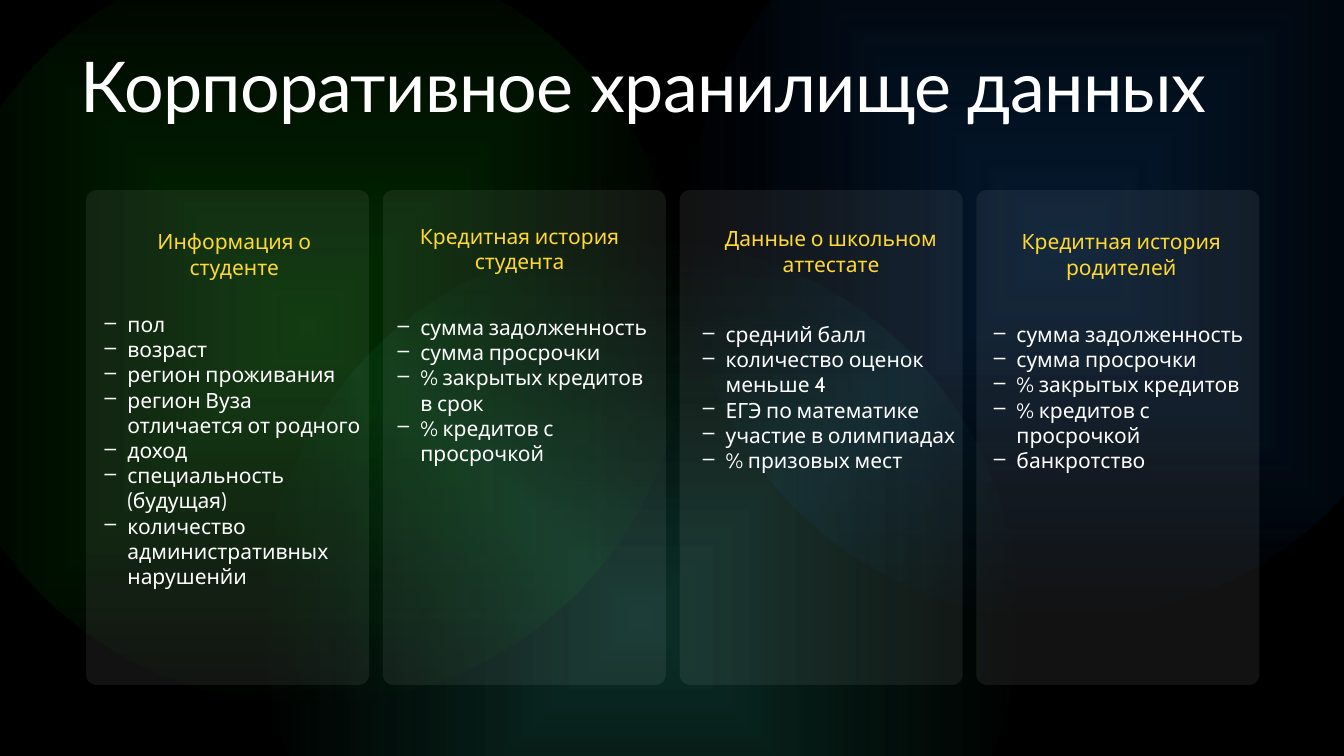
from dataclasses import dataclass

from lxml.etree import SubElement
from pptx import Presentation
from pptx.dml.color import RGBColor
from pptx.enum.shapes import MSO_SHAPE
from pptx.enum.text import MSO_ANCHOR, PP_ALIGN
from pptx.oxml import parse_xml
from pptx.oxml.ns import nsdecls, qn
from pptx.util import Inches, Pt


@dataclass(frozen=True)
class Theme:
    background: str = "000000"
    text: str = "FFFFFF"
    accent: str = "FFD932"
    card: str = "FFFFFF"
    card_opacity: int = 7
    glow_opacity: int = 25
    title_font: str = "Lato"
    body_font: str = "Cabin"
    title_size: int = 100
    body_size: int = 30
    inset: float = 0.06
    indent: float = 0.45


GLOWS = [
    (-5.14, -6.8, 0, "08BC08", "08BC08"),
    (19.57, 31.73, 0, "31C2A7", "209F6D"),
    (50.99, -18, 1, "1164C0", "1164C0"),
]

CARD_LEFT, CARD_TOP, CARD_WIDTH, CARD_HEIGHT = 6.4, 25.13, 21.07, 65.47
CARD_PITCH = 22.08

SOURCES = [
    ("Информация о студенте", (8.02, 29.87), (7.57, 40.8, 19.5, 50.73),
     ["пол", "возраст", "регион проживания", "регион Вуза отличается от родного",
      "доход", "специальность (будущая)", "количество административных нарушенйи"]),
    ("Кредитная история студента", (29.25, 29.13), (29.36, 41.2, 19.5, 24.07),
     ["сумма задолженность", "сумма просрочки", "% закрытых кредитов в срок",
      "% кредитов с просрочкой"]),
    ("Данные о школьном аттестате", (52.42, 29.47), (52.08, 42.13, 19.76, 27.4),
     ["средний балл", "количество оценок меньше 4", "ЕГЭ по математике",
      "участие в олимпиадах", "% призовых мест"]),
    ("Кредитная история родителей", (74.02, 29.87), (73.72, 42.13, 19.5, 27.4),
     ["сумма задолженность", "сумма просрочки", "% закрытых кредитов",
      "% кредитов с просрочкой", "банкротство"]),
]


class SlideBuilder:
    def __init__(self, deck, theme):
        self.deck = deck
        self.theme = theme
        self.slide = deck.slides.add_slide(deck.slide_layouts[5])
        backdrop = self.slide.background.fill
        backdrop.solid()
        backdrop.fore_color.rgb = RGBColor.from_string(theme.background)

    def area(self, left, top, width, height):
        across, down = self.deck.slide_width / 100, self.deck.slide_height / 100
        return (round(left * across), round(top * down),
                round(width * across), round(height * down))

    def shape(self, preset, area):
        shape = self.slide.shapes.add_shape(preset, *self.area(*area))
        shape.shadow.inherit = False
        shape.line.fill.background()
        return shape

    def glow(self, left, top, start, inner, outer):
        circle = self.shape(MSO_SHAPE.OVAL, (left, top, 56.24, 100))
        circle.fill.background()
        gradient = parse_xml(
            f'<a:gradFill {nsdecls("a")} rotWithShape="1"><a:gsLst>'
            f'<a:gs pos="{start * 1000}"><a:srgbClr val="{inner}">'
            f'<a:alpha val="{self.theme.glow_opacity * 1000}"/></a:srgbClr></a:gs>'
            f'<a:gs pos="100000"><a:srgbClr val="{outer}">'
            '<a:alpha val="0"/></a:srgbClr></a:gs></a:gsLst>'
            '<a:path path="shape"><a:fillToRect l="0" t="0" r="0" b="0"/></a:path>'
            '</a:gradFill>')
        properties = circle.element.spPr
        properties.replace(properties.find(qn("a:noFill")), gradient)

    def card(self, column):
        card = self.shape(MSO_SHAPE.ROUNDED_RECTANGLE,
                          (CARD_LEFT + column * CARD_PITCH, CARD_TOP, CARD_WIDTH, CARD_HEIGHT))
        card.adjustments[0] = 0.037
        card.fill.solid()
        card.fill.fore_color.rgb = RGBColor.from_string(self.theme.card)
        colour = card.element.spPr.find(qn("a:solidFill")).find(qn("a:srgbClr"))
        SubElement(colour, qn("a:alpha"), val=str(self.theme.card_opacity * 1000))

    def frame(self, holder):
        frame = holder.text_frame
        frame.word_wrap = True
        frame.margin_left = frame.margin_right = Inches(self.theme.inset)
        frame.margin_top = frame.margin_bottom = Inches(self.theme.inset)
        return frame

    def run(self, paragraph, wording, font, size, colour):
        run = paragraph.add_run()
        run.text = wording
        run.font.name = font
        run.font.size = Pt(size)
        run.font.color.rgb = RGBColor.from_string(colour)
        return run

    def title(self, wording, area):
        title = self.slide.shapes.title
        title.left, title.top, title.width, title.height = self.area(*area)
        frame = self.frame(title)
        frame.vertical_anchor = MSO_ANCHOR.MIDDLE
        paragraph = frame.paragraphs[0]
        paragraph.alignment = PP_ALIGN.LEFT
        paragraph.line_spacing = 0.7
        theme = self.theme
        run = self.run(paragraph, wording, theme.title_font, theme.title_size, theme.text)
        run.font._element.set("spc", "-100")
        title.element.getparent().append(title.element)

    def heading(self, wording, left, top):
        box = self.slide.shapes.add_textbox(*self.area(left, top, 18.82, 7.4))
        paragraph = self.frame(box).paragraphs[0]
        paragraph.alignment = PP_ALIGN.CENTER
        theme = self.theme
        self.run(paragraph, wording, theme.body_font, theme.body_size, theme.accent)

    def dashes(self, entries, area):
        frame = self.frame(self.slide.shapes.add_textbox(*self.area(*area)))
        theme = self.theme
        indent = Inches(theme.indent)
        for position, entry in enumerate(entries):
            paragraph = frame.add_paragraph() if position else frame.paragraphs[0]
            properties = paragraph._p.get_or_add_pPr()
            properties.set("marL", str(indent))
            properties.set("indent", str(-indent))
            SubElement(properties, qn("a:buChar"), char="–")
            self.run(paragraph, entry, theme.body_font, theme.body_size, theme.text)


def main():
    deck = Presentation()
    deck.slide_width, deck.slide_height = Inches(26.67), Inches(15)
    builder = SlideBuilder(deck, Theme())
    for glow in GLOWS:
        builder.glow(*glow)
    builder.title("Корпоративное хранилище данных", (5.77, 8.27, 88.86, 8.53))
    for column, (heading, corner, area, entries) in enumerate(SOURCES):
        builder.card(column)
        builder.heading(heading, *corner)
        builder.dashes(entries, area)
    deck.save("out.pptx")


if __name__ == "__main__":
    main()
